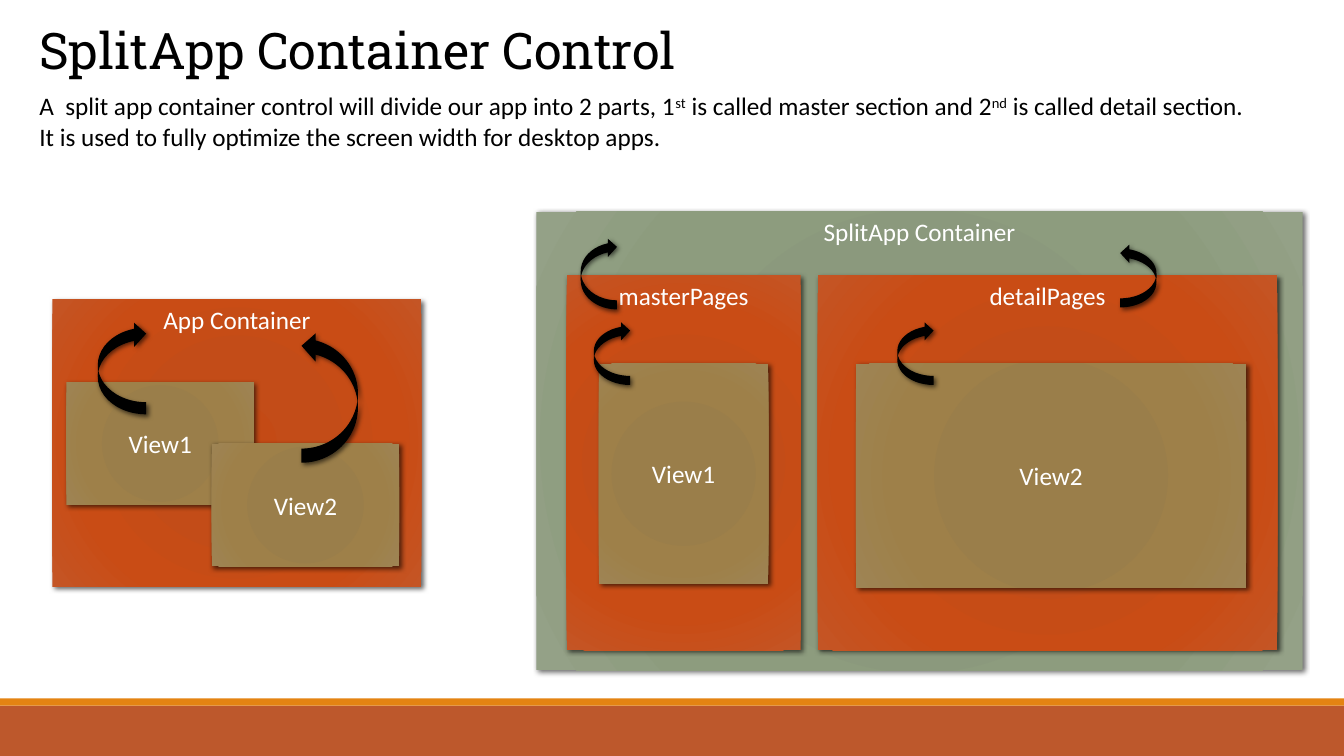
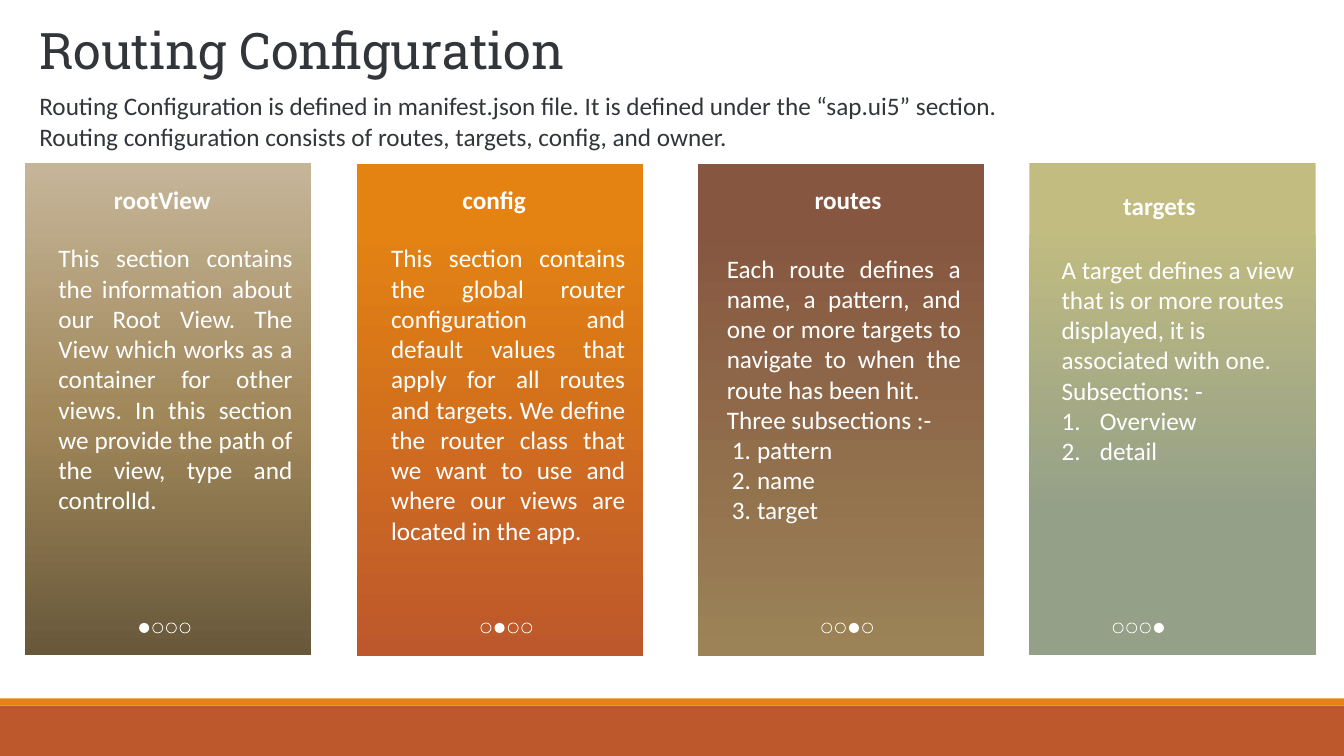
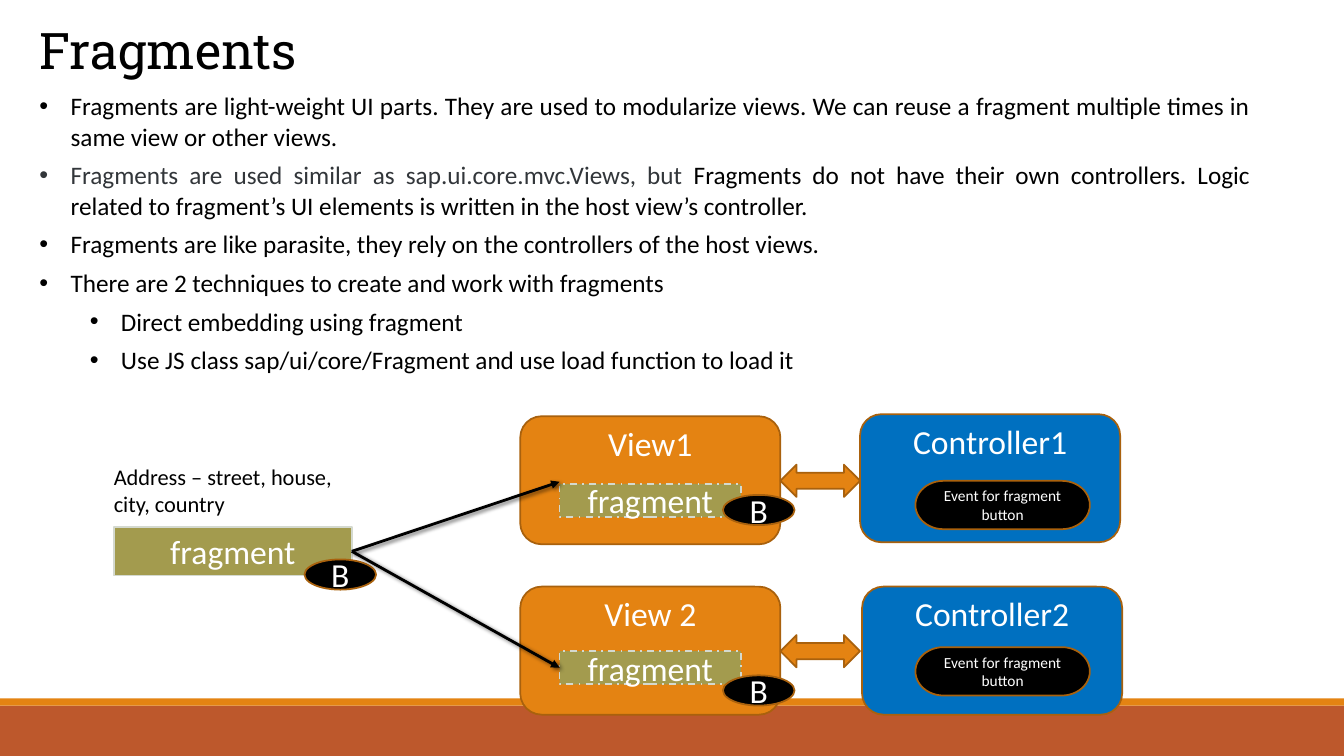
"""Build three slides on app containers, routing and fragments."""
from dataclasses import dataclass

from lxml import etree
from pptx import Presentation
from pptx.dml.color import RGBColor
from pptx.enum.dml import MSO_LINE
from pptx.enum.shapes import MSO_CONNECTOR, MSO_SHAPE
from pptx.enum.text import MSO_ANCHOR, MSO_AUTO_SIZE, PP_ALIGN
from pptx.oxml import parse_xml
from pptx.oxml.ns import nsdecls, qn
from pptx.util import Inches, Pt

RECT, OVAL = MSO_SHAPE.RECTANGLE, MSO_SHAPE.OVAL
ROUND, PILL = MSO_SHAPE.ROUNDED_RECTANGLE, MSO_SHAPE.FLOWCHART_TERMINATOR
CURVE, BOTH = MSO_SHAPE.CURVED_RIGHT_ARROW, MSO_SHAPE.LEFT_RIGHT_ARROW
STRAIGHT, DASH = MSO_CONNECTOR.STRAIGHT, MSO_LINE.DASH_DOT
TOP, MID, LOW = MSO_ANCHOR.TOP, MSO_ANCHOR.MIDDLE, MSO_ANCHOR.BOTTOM
LEFT, CENTER, FULL = PP_ALIGN.LEFT, PP_ALIGN.CENTER, PP_ALIGN.JUSTIFY
FIXED = MSO_AUTO_SIZE.NONE


@dataclass(frozen=True)
class Theme:
    black: str = "000000"
    white: str = "FFFFFF"
    slate: str = "32363A"
    rust: str = "BD582C"
    orange: str = "E48312"
    brown: str = "A9610D"
    olive: str = "A39B4E"
    pale: str = "D4D9CF"
    blue: str = "0070C0"
    red_glow: tuple = ((0, "C44A15"), (34, "C34C18"), (70, "C94C15"), (100, "C45525"))
    tan_glow: tuple = ((0, "9A7D48"), (34, "9A7E4A"), (70, "9E8049"), (100, "9E8454"))
    sage_glow: tuple = ((0, "8A987B"), (34, "8B997D"), (70, "8D9C7E"), (100, "94A187"))
    sand: tuple = ((0, "68583A"), (48, "A0875A"), (100, "C5B598"))
    amber: tuple = ((12, "E48312"), (100, "BD582C"))
    cocoa: tuple = ((12, "865640"), (100, "9B8357"))
    moss: tuple = ((12, "C2BC80"), (71, "94A088"), (100, "94A088"))
    head: str = "Roboto Slab"
    text: str = "Calibri"
    title: int = 36
    label: int = 24
    body: int = 18
    note: int = 16
    small: int = 11


T = Theme()


def put(item, **vals):
    for key, val in vals.items():
        setattr(item, key, val)


def box(at):
    return [Inches(n) for n in at]


class Deck:
    def __init__(self):
        self.file = Presentation()
        put(self.file, slide_width=Inches(13.33), slide_height=Inches(7.5))
        self.layout = self.file.slide_layouts[1]
        self.slide = None

    def page(self, title, paras, high, color=T.black, **fmt):
        self.slide = self.file.slides.add_slide(self.layout)
        if len(self.file.slides) == 1:
            self.bands()
        head, body = self.slide.placeholders
        self.place(head, (0.29, 0.21, 12.21, 0.65))
        self.say(head.text_frame, [title], T.title, color, face=T.head, line_spacing=0.9)
        self.place(body, (0.29, 0.85, 12.21, high))
        self.say(body.text_frame, paras, color=color, **fmt)

    def bands(self):
        for top, high, color in ((7, 0.5, T.rust), (6.93, 0.07, T.orange)):
            band = self.shape(RECT, (0, top, 13.33, high), color)
            self.layout.shapes.element.append(band.element)

    def place(self, item, at):
        left, top, wide, high = box(at)
        put(item, left=left, top=top, width=wide, height=high)

    def say(self, frame, paras, size=T.body, color=T.white, anchor=TOP,
            face=T.text, bold=False, align=LEFT, **fmt):
        put(frame, word_wrap=True, auto_size=FIXED, vertical_anchor=anchor)
        for i, item in enumerate(paras):
            runs, opts = item if isinstance(item, tuple) else (item, {})
            opts = {"alignment": align, "space_before": Pt(0), **fmt, **opts}
            if i == 0:
                opts["space_before"] = Pt(0)
            para = frame.add_paragraph() if i else frame.paragraphs[0]
            self.mark(para, opts.pop("mark", None), opts.pop("indent", (0, 0)))
            put(para, **opts)
            for part in [runs] if isinstance(runs, str) else runs:
                words, ink, base = part if isinstance(part, tuple) else (part, color, 0)
                run = para.add_run()
                run.text = words
                put(run.font, name=face, size=Pt(size), bold=bold)
                run.font.color.rgb = RGBColor.from_string(ink)
                if base:
                    run.font._element.set("baseline", str(base * 1000))

    def mark(self, para, mark, indent):
        props = para._p.get_or_add_pPr()
        for key, val in zip(("marL", "indent"), indent):
            props.set(key, str(Inches(val)))
        if mark == "1.":
            etree.SubElement(props, qn("a:buFont"), typeface="+mj-lt")
            etree.SubElement(props, qn("a:buAutoNum"), type="arabicPeriod")
        elif mark:
            etree.SubElement(props, qn("a:buFont"), typeface="Arial")
            etree.SubElement(props, qn("a:buChar"), char=mark)
        else:
            etree.SubElement(props, qn("a:buNone"))

    def text(self, at, paras, **fmt):
        item = self.slide.shapes.add_textbox(*box(at))
        self.say(item.text_frame, paras, **fmt)

    def shape(self, kind, at, fill=None, line=None, words=None, size=T.label,
              anchor=MID, width=1.25, dash=None):
        item = self.slide.shapes.add_shape(kind, *box(at))
        item.shadow.inherit = False
        if fill:
            item.fill.solid()
            item.fill.fore_color.rgb = RGBColor.from_string(fill)
        else:
            item.fill.background()
        if line:
            item.line.color.rgb = RGBColor.from_string(line)
            put(item.line, width=Pt(width), dash_style=dash)
        else:
            item.line.fill.background()
        if words:
            self.say(item.text_frame, [words], size, anchor=anchor, align=CENTER)
        return item

    def blend(self, item, stops, angle=None):
        item.fill.gradient()
        old = item.element.spPr.find(qn("a:gradFill"))
        marks = "".join(
            f'<a:gs pos="{pos * 1000}"><a:srgbClr val="{color}"/></a:gs>' for pos, color in stops)
        if angle is None:
            edge = " ".join(f'{side}="100000"' for side in "ltrb")
            way = f'<a:path path="circle"><a:fillToRect {edge}/></a:path>'
        else:
            way = f'<a:lin ang="{angle * 60000}" scaled="0"/>'
        old.getparent().replace(old, parse_xml(
            f'<a:gradFill {nsdecls("a")} rotWithShape="1"><a:gsLst>{marks}</a:gsLst>{way}</a:gradFill>'))

    def shade(self, item, blur=3.5):
        props = item.element.spPr
        group = props.find(qn("a:effectLst"))
        if group is None:
            group = etree.SubElement(props, qn("a:effectLst"))
        group.append(parse_xml(
            f'<a:outerShdw {nsdecls("a")} blurRad="{Pt(blur)}" dist="{Pt(2)}" dir="2700000" '
            f'algn="tl" rotWithShape="0"><a:srgbClr val="{T.black}"><a:alpha val="60000"/>'
            '</a:srgbClr></a:outerShdw>'))

    def panel(self, at, stops, words, anchor=MID):
        item = self.shape(RECT, at, T.black, words=words, size=T.body, anchor=anchor)
        self.blend(item, stops)
        self.shade(item)

    def curve(self, at, turn=False):
        item = self.shape(CURVE, at, T.black)
        self.shade(item)
        if turn:
            item.rotation = 180
        else:
            item.element.spPr.find(qn("a:xfrm")).set("flipV", "1")

    def dots(self, left, full):
        for i in range(4):
            at = (left + 0.135 * i, 6.18, 0.1, 0.1)
            if i == full:
                self.shape(OVAL, at, T.white)
            else:
                self.shape(OVAL, at, line=T.white, width=0.5)

    def arrow(self, start, end):
        item = self.slide.shapes.add_connector(STRAIGHT, *box(start + end))
        item.line.color.rgb = RGBColor.from_string(T.black)
        item.line.width = Pt(2)
        etree.SubElement(item.element.spPr.find(qn("a:ln")), qn("a:tailEnd"), type="triangle")
        self.shade(item, 3)
        return item


def split(deck):
    ink = T.black
    deck.page("SplitApp Container Control", [([
        "A  split app container control will divide our app into 2 parts, 1", ("st", ink, 30),
        " is called master section and 2", ("nd", ink, 30),
        " is called detail section. It is used to fully optimize the screen width for desktop apps.",
    ], {})], 1.01)
    deck.panel((0.52, 2.97, 3.66, 2.85), T.red_glow, "App Container", TOP)
    deck.panel((0.66, 3.79, 1.86, 1.22), T.tan_glow, "View1")
    deck.panel((2.1, 4.4, 1.86, 1.22), T.tan_glow, "View2")
    deck.panel((5.32, 2.1, 7.6, 4.55), T.sage_glow, "SplitApp Container", TOP)
    deck.panel((5.62, 2.73, 2.32, 3.72), T.red_glow, "masterPages", TOP)
    deck.panel((8.11, 2.73, 4.56, 3.72), T.red_glow, "detailPages", TOP)
    deck.panel((5.94, 3.61, 1.68, 2.18), T.tan_glow, "View1")
    deck.panel((8.49, 3.61, 3.87, 2.22), T.tan_glow, "View2")
    deck.curve((2.99, 3.29, 0.56, 1.3), turn=True)
    deck.curve((0.97, 3.19, 0.48, 0.92))
    for left in (5.89, 8.9):
        deck.curve((left, 3.19, 0.36, 0.63))
    deck.curve((5.76, 2.36, 0.36, 0.71))
    deck.curve((11.11, 2.42, 0.36, 0.63), turn=True)


def routing(deck):
    deck.page("Routing Configuration", [
        "Routing Configuration is defined in manifest.json file. It is defined under the “sap.ui5” section.",
        "Routing configuration consists of routes, targets, config, and owner.",
    ], 0.71, T.slate)
    close = {"mark": "1.", "indent": (0.3, -0.25)}
    wide = {"mark": "1.", "indent": (0.38, -0.38)}
    cards = (
        (0.25, 1.62, T.sand, 270, "rootView", (0.35, 1.78), (0.48, 2.36), 1.38, FULL, [
            "This section contains the information about our Root View. The View which works as a "
            "container for other views. In this section we provide the path of the view, type and "
            "controlId."]),
        (3.54, 1.63, T.amber, 90, "config", (3.64, 1.78), (3.78, 2.36), 4.77, FULL, [
            "This section contains the global router configuration and default values that apply "
            "for all routes and targets. We define the router class that we want to use and where "
            "our views are located in the app."]),
        (6.92, 1.63, T.cocoa, 90, "routes", (7.15, 1.78), (7.11, 2.46), 8.15, FULL, [
            "Each route defines a name, a pattern, and one or more targets to navigate to when the "
            "route has been hit.",
            "Three subsections :-", ("pattern", close), ("name", close), ("target", close)]),
        (10.21, 1.62, T.moss, 90, "targets", (10.24, 1.84), (10.43, 2.47), 11.04, LEFT, [
            "A target defines a view that is or more routes displayed, it is associated with one.",
            "Subsections: -", ("Overview", wide), ("detail", wide)]),
    )
    for i, (left, top, stops, angle, name, head, body, dot, align, paras) in enumerate(cards):
        card = deck.shape(RECT, (left, top, 2.84, 4.88), T.white)
        deck.blend(card, stops, angle)
        deck.text((*head, 2.52, 0.4), [name], bold=True, align=CENTER, anchor=LOW)
        deck.text((*body, 2.52, 3.13), paras, align=align)
        deck.dots(dot, i)


def parts(deck):
    sub = {"level": 1, "indent": (0.81, -0.31)}
    deck.page("Fragments", [
        "Fragments are light-weight UI parts. They are used to modularize views. We can reuse a "
        "fragment multiple times in same view or other views.",
        ([("Fragments are used similar as sap.ui.core.mvc.Views, but ", T.slate, 0),
          "Fragments do not have their own controllers. Logic related to fragment’s UI elements "
          "is written in the host view’s controller."], {}),
        "Fragments are like parasite, they rely on the controllers of the host views.",
        "There are 2 techniques to create and work with fragments",
        ("Direct embedding using fragment", sub),
        ("Use JS class sap/ui/core/Fragment and use load function to load it", sub),
    ], 2.95, align=FULL, mark="•", indent=(0.31, -0.31), space_before=Pt(6))
    deck.text((1.03, 4.55, 2.51, 0.65), ["Address – street, house, city, country"],
              size=T.note, color=T.black)
    source = deck.shape(RECT, (1.13, 5.23, 2.36, 0.48), T.olive, T.pale, "fragment")
    deck.shape(OVAL, (3.02, 5.55, 0.71, 0.3), T.black, T.brown, "B")
    rows = (
        ("View1", 4.13, 4.8, 4.78, "Controller1", 8.53, 4.11, 4.61, 4.91, 4.77),
        ("View 2", 5.82, 6.46, 6.62, "Controller2", 8.55, 5.82, 6.3, 6.7, 6.42),
    )
    for view, top, inner, tip, name, left, high, link, badge, event in rows:
        for at, fill, words in (((5.16, top), T.orange, view), ((left, high), T.blue, name)):
            host = deck.shape(ROUND, (*at, 2.58, 1.27), fill, T.brown, words, anchor=TOP)
            host.text_frame.margin_top = 0
        part = deck.shape(RECT, (5.55, inner, 1.8, 0.33), T.olive, T.pale, "fragment", dash=DASH)
        arrow = deck.arrow((3.49, 5.47), (5.55, tip))
        arrow.begin_connect(source, 3)
        if inner < tip:
            arrow.end_connect(part, 1)
        deck.shape(BOTH, (7.74, link, 0.79, 0.32), T.orange, T.brown)
        deck.shape(OVAL, (7.17, badge, 0.71, 0.3), T.black, T.brown, "B")
        deck.shape(PILL, (9.08, event, 1.73, 0.48), T.black, T.brown,
                   "Event for fragment button", T.small)


def main():
    deck = Deck()
    for build in (split, routing, parts):
        build(deck)
    deck.file.save("out.pptx")


if __name__ == "__main__":
    main()
